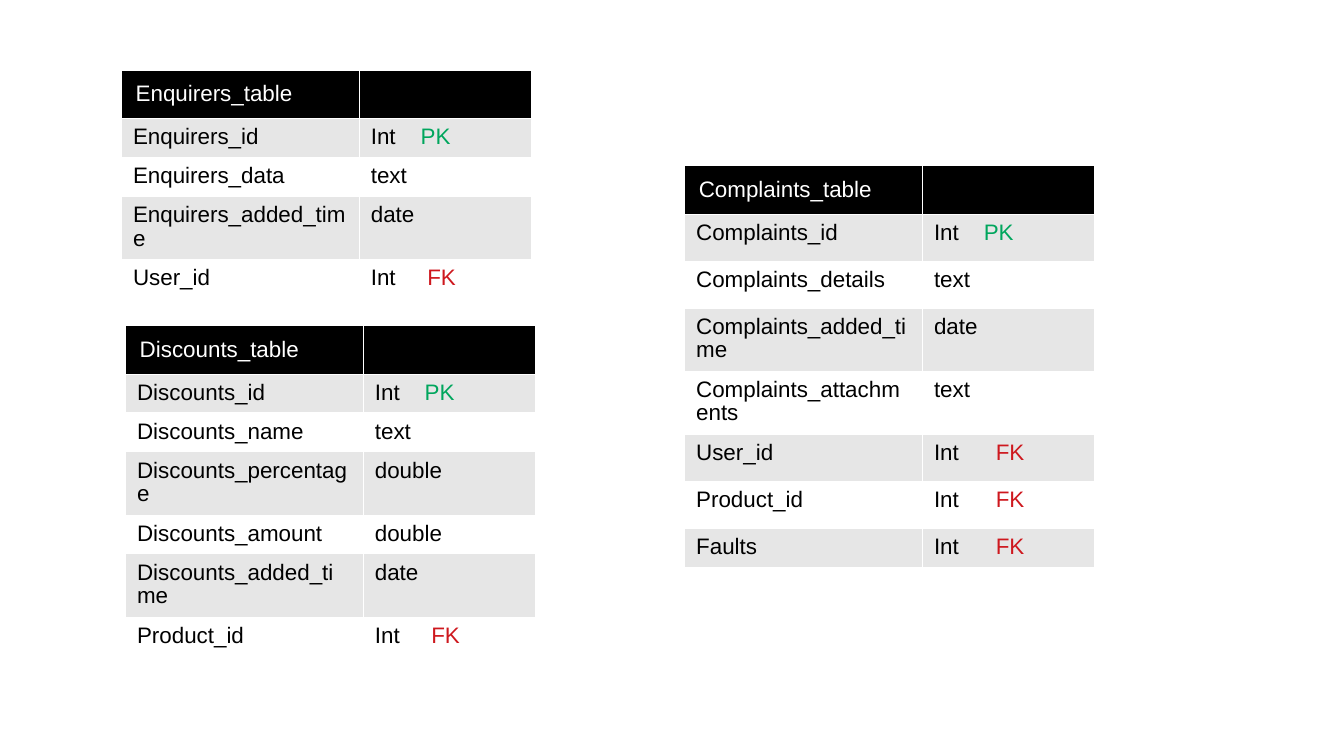
from lxml.etree import SubElement
from pptx import Presentation
from pptx.dml.color import RGBColor
from pptx.enum.text import MSO_ANCHOR
from pptx.oxml.ns import qn
from pptx.util import Inches, Pt

COLORS = {"header": "000000", "band": "E6E6E6", "plain": "FFFFFF", "border": "FFFFFF",
          "title": "FFFFFF", "text": "000000", "PK": "00A65D", "FK": "CE181E"}
FONT = "Arial"
FONT_SIZE = 12
COLUMN_WIDTHS = (1.77, 1.28)
HEADER_HEIGHT = 0.36
PRIMARY_TAB = 0.37

TABLES = [
    {"title": "Complaints_table", "left": 5.09, "top": 1.23, "foreign_tab": 0.46, "fields": [
        ("Complaints_id", "Int", "PK", 0.35),
        ("Complaints_details", "text", "", 0.35),
        ("Complaints_added_time", "date", "", 0.47),
        ("Complaints_attachments", "text", "", 0.47),
        ("User_id", "Int", "FK", 0.35),
        ("Product_id", "Int", "FK", 0.35),
        ("Faults", "Int", "FK", 0.29),
    ]},
    {"title": "Enquirers_table", "left": 0.9, "top": 0.52, "foreign_tab": 0.42, "fields": [
        ("Enquirers_id", "Int", "PK", 0.29),
        ("Enquirers_data", "text", "", 0.29),
        ("Enquirers_added_time", "date", "", 0.47),
        ("User_id", "Int", "FK", 0.46),
    ]},
    {"title": "Discounts_table", "left": 0.93, "top": 2.42, "foreign_tab": 0.42, "fields": [
        ("Discounts_id", "Int", "PK", 0.29),
        ("Discounts_name", "text", "", 0.29),
        ("Discounts_percentage", "double", "", 0.47),
        ("Discounts_amount", "double", "", 0.29),
        ("Discounts_added_time", "date", "", 0.47),
        ("Product_id", "Int", "FK", 0.46),
    ]},
]


def color(name):
    return RGBColor.from_string(COLORS[name])


def add_borders(cell):
    properties = cell._tc.get_or_add_tcPr()
    for side in ("lnL", "lnR", "lnT", "lnB"):
        line = SubElement(properties, qn(f"a:{side}"), w=str(Pt(0.06)))
        fill = SubElement(line, qn("a:solidFill"))
        SubElement(fill, qn("a:srgbClr"), val=COLORS["border"])


def write_cell(cell, text, *, fill, ink="text", key="", tab=0, indent=0,
               anchor=MSO_ANCHOR.TOP):
    add_borders(cell)
    cell.fill.solid()
    cell.fill.fore_color.rgb = color(fill)
    cell.vertical_anchor = anchor
    cell.margin_left = cell.margin_right = Inches(0.09)
    cell.margin_top, cell.margin_bottom = Inches(0.06), Inches(0.05)
    para = cell.text_frame.paragraphs[0]
    para.line_spacing = 0.93
    properties = para._p.get_or_add_pPr()
    properties.set("marL", str(Inches(indent)))
    if key:
        stops = SubElement(properties, qn("a:tabLst"))
        SubElement(stops, qn("a:tab"), pos=str(Inches(tab)), algn="l")
    spans = [(text + "\t", ink), (key, key)] if key else [(text, ink)]
    for words, shade in spans:
        if words:
            span = para.add_run()
            span.text = words
            span.font.name = FONT
            span.font.size = Pt(FONT_SIZE)
            span.font.bold = False
            span.font.color.rgb = color(shade)
    para._p.get_or_add_endParaRPr().set("sz", str(FONT_SIZE * 100))


def add_schema_table(page, schema):
    fields = schema["fields"]
    heights = [HEADER_HEIGHT] + [field[3] for field in fields]
    frame = page.shapes.add_table(
        len(heights), len(COLUMN_WIDTHS), Inches(schema["left"]), Inches(schema["top"]),
        Inches(sum(COLUMN_WIDTHS)), Inches(sum(heights)))
    table = frame.table
    table.first_row = table.horz_banding = False
    for column, width in zip(table.columns, COLUMN_WIDTHS):
        column.width = Inches(width)
    for row, height in zip(table.rows, heights):
        row.height = Inches(height)
    for column, text in enumerate((schema["title"], "")):
        write_cell(table.cell(0, column), text, fill="header", ink="title",
                   indent=0.02, anchor=MSO_ANCHOR.MIDDLE)
    tabs = {"PK": PRIMARY_TAB, "FK": schema["foreign_tab"], "": 0}
    for row, (name, kind, key, _) in enumerate(fields, start=1):
        fill = "band" if row % 2 else "plain"
        write_cell(table.cell(row, 0), name, fill=fill)
        write_cell(table.cell(row, 1), kind, fill=fill, key=key, tab=tabs[key])


def main():
    deck = Presentation()
    deck.slide_width = Inches(10)
    deck.slide_height = deck.slide_width * 9 // 16
    page = deck.slides.add_slide(deck.slide_layouts[6])
    for schema in TABLES:
        add_schema_table(page, schema)
    deck.save("out.pptx")


if __name__ == "__main__":
    main()
